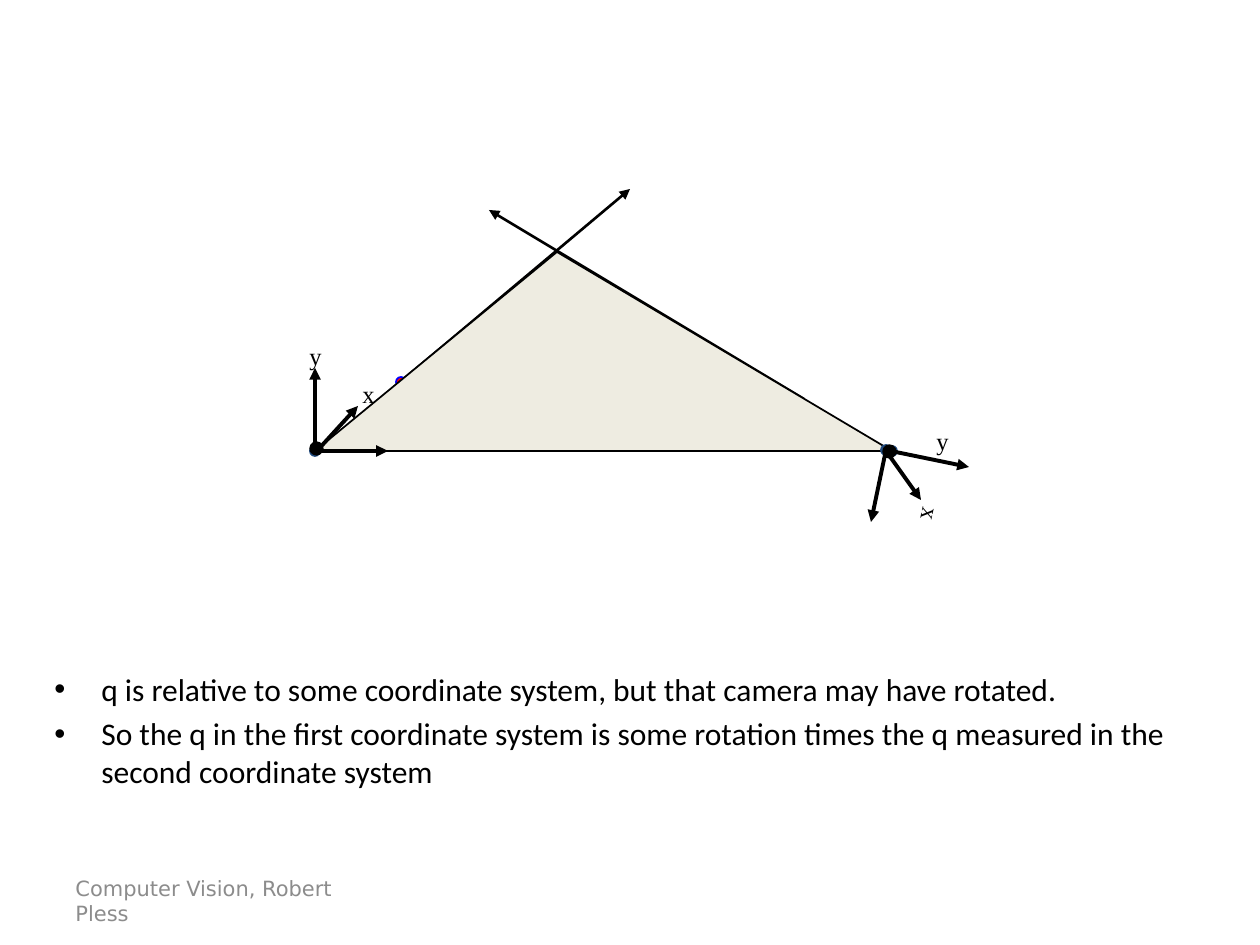
from lxml.etree import SubElement as Sub
from pptx import Presentation
from pptx.dml.color import RGBColor
from pptx.enum.shapes import MSO_CONNECTOR as Conn, MSO_SHAPE as Kind
from pptx.enum.text import MSO_ANCHOR as Anchor
from pptx.oxml.ns import qn
from pptx.util import Pt

PX = 914400 / 126
BLACK = RGBColor(0, 0, 0)
GRAY = RGBColor(0x8C, 0x8C, 0x8C)
NAVY = RGBColor(0x1F, 0x49, 0x7D)
RED = RGBColor(0xFF, 0, 0)
BLUE = RGBColor(0, 0, 0xFF)
CREAM = RGBColor(0xEE, 0xEC, 0xE1)

FOOTER = "Computer Vision, Robert Pless"
POINTS = [
    "q is relative to some coordinate system, but that camera may have rotated.",
    "So the q in the first coordinate system is some rotation times the q "
    "measured in the second coordinate system",
]
# Rays: start x, y, end x, y
LEFT_RAY = (399, 383, 630, 189)
RIGHT_RAY = (804, 399, 489, 210)
PLANE = [(315, 451), (892, 451), (557, 252)]
TILT = 102.1

# Dots: left, top, size, fill, line, line width
SPOT = (887, 446, 10, NAVY, NAVY, 1)
IMAGE_DOT = (396, 377, 10, RED, BLUE, 1)
# Camera frames: dots, axes, labels (text, left, top, turn)
FRAMES = [
    dict(
        dots=[(881, 445, 10, NAVY, NAVY, 1), (883, 445, 13, BLACK, BLACK, 0.75)],
        axes=[(886, 450, 969, 467), (886, 451, 921, 500), (886, 450, 871, 522)],
        labels=[("y", 924, 420, 0), ("x", 903, 501, TILT)],
    ),
    dict(
        dots=[(310, 446, 10, NAVY, NAVY, 1), (310, 442, 13, BLACK, BLACK, 0.75)],
        axes=[(315, 451, 315, 368), (316, 452, 358, 406), (315, 451, 388, 451)],
        labels=[("x", 350, 373, 0), ("y", 297, 335, 0)],
    ),
]


def emu(*vals):
    return [round(v * PX) for v in vals]


def paint(shape, fill, line, width):
    shape.shadow.inherit = False
    shape.fill.solid()
    shape.fill.fore_color.rgb = fill
    shape.line.color.rgb = line
    shape.line.width = Pt(width)


def dot(x, y, size, fill, line, width):
    paint(shapes.add_shape(Kind.OVAL, *emu(x, y, size, size)), fill, line, width)


def arrow(ends, width):
    link = shapes.add_connector(Conn.STRAIGHT, *emu(*ends))
    link.line.color.rgb = BLACK
    link.line.width = Pt(width)
    Sub(link.line._get_or_add_ln(), qn("a:tailEnd"), type="triangle")
    Sub(link._element.spPr, qn("a:effectLst"))


def text(box, lines, size, face, color, bullet=False):
    shape = shapes.add_textbox(*emu(*box))
    frame = shape.text_frame
    frame.word_wrap = True
    for i, line in enumerate(lines):
        para = frame.add_paragraph() if i else frame.paragraphs[0]
        if bullet:
            props = para._p.get_or_add_pPr()
            left = emu(47)[0]
            props.set("marL", str(left))
            props.set("indent", str(-left))
            Sub(props, qn("a:buFont"), typeface="Arial")
            Sub(props, qn("a:buChar"), char="•")
        if i:
            para.space_before = Pt(size * 0.2)
        run = para.add_run()
        run.text = line
        run.font.size = Pt(size)
        run.font.name = face
        run.font.color.rgb = color
    return shape


deck = Presentation()
deck.slide_width, deck.slide_height = emu(1260, 945)
shapes = deck.slides.add_slide(deck.slide_layouts[6]).shapes

foot = text((63, 876, 293, 50), [FOOTER], 12, "DejaVu Sans", GRAY)
foot.text_frame.vertical_anchor = Anchor.MIDDLE
text((42, 664, 1187, 229), POINTS, 18, "Calibri", BLACK, bullet=True)

arrow(LEFT_RAY, 1.5)
dot(*SPOT)
dot(*IMAGE_DOT)
arrow(RIGHT_RAY, 1.5)

path = shapes.build_freeform(*PLANE[0], scale=PX)
path.add_line_segments(PLANE[1:], close=True)
paint(path.convert_to_shape(), CREAM, BLACK, 1)

for view in FRAMES:
    for spot in view["dots"]:
        dot(*spot)
    for ends in view["axes"]:
        arrow(ends, 2.25)
    for name, x, y, turn in view["labels"]:
        label = text((x, y, 53, 42), [name], 14, "Times New Roman", BLACK)
        label.rotation = turn

deck.save("out.pptx")
